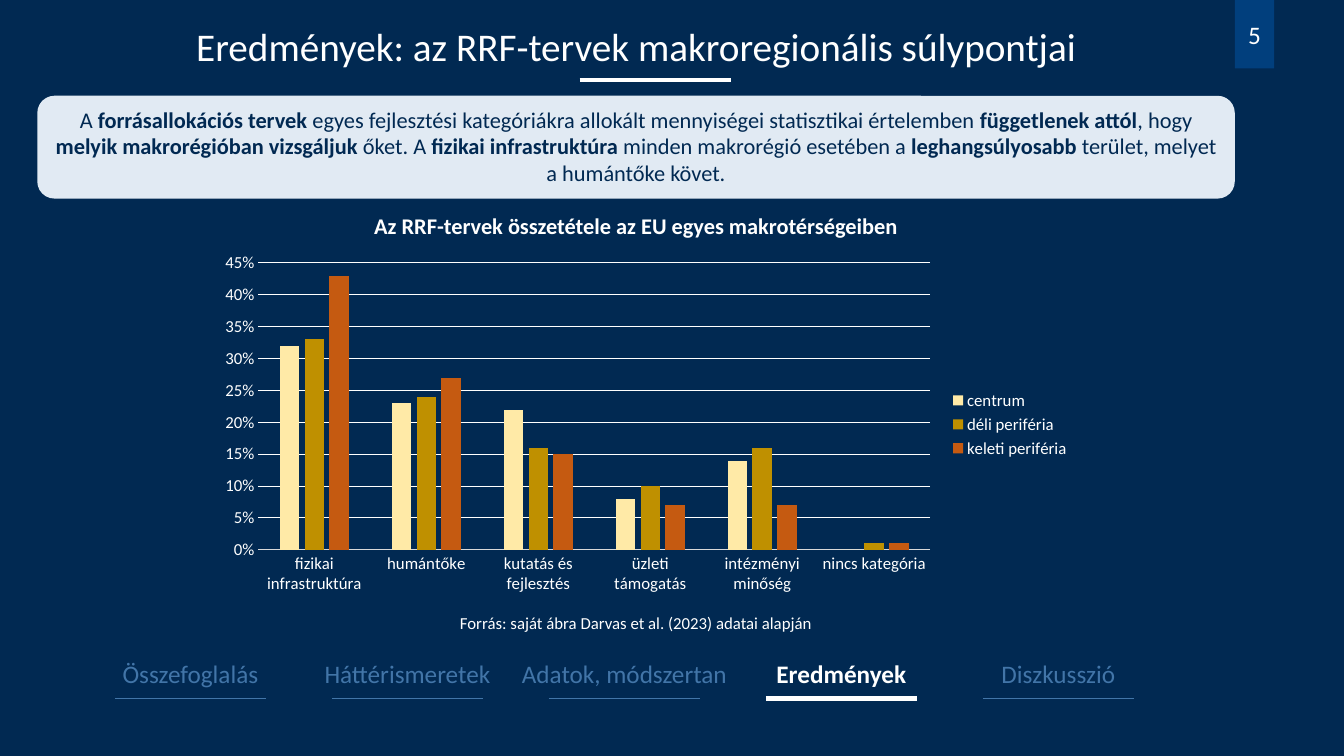
from dataclasses import dataclass

import lxml.etree
import pptx
import pptx.chart.data
import pptx.dml.color
import pptx.enum.chart
import pptx.enum.shapes
import pptx.enum.text
import pptx.oxml
import pptx.oxml.ns
import pptx.util

COLUMNS, ROWS = 160, 90
CELL = pptx.util.Inches(1) / 12


@dataclass(frozen=True)
class Theme:
    font: str = "Calibri"
    background: str = "012952"
    tag: str = "013F7D"
    panel: str = "E1EAF3"
    light: str = "FFFFFF"
    muted: str = "4275A8"
    axis: str = "D9D9D9"
    series: tuple = ("FFEAA7", "BF9000", "C55A11")
    title_size: float = 28
    tab_size: float = 18
    body_size: float = 16
    small_size: float = 12
    thick: float = 3
    thin: float = 0.5
    grid: float = 0.75


@dataclass(frozen=True)
class Box:
    x: float
    y: float
    w: float
    h: float

    def inner(self, x, y, w, h):
        return Box(self.x + x, self.y + y, w, h)

    def emu(self):
        return [round(v * CELL) for v in (self.x, self.y, self.w, self.h)]


THEME = Theme()


def rgb(value):
    return pptx.dml.color.RGBColor.from_string(value)


def style_font(font, size, color, bold=False):
    font.name = THEME.font
    font.size = pptx.util.Pt(size)
    font.color.rgb = rgb(color)
    font.bold = bold


def add_label(slide, box, text, size, color, bold=False, side_inset=1.2):
    label = slide.shapes.add_textbox(*box.emu())
    frame = label.text_frame
    frame.word_wrap = True
    frame.auto_size = pptx.enum.text.MSO_AUTO_SIZE.SHAPE_TO_FIT_TEXT
    frame.margin_left = frame.margin_right = round(side_inset * CELL)
    frame.text = text
    paragraph = frame.paragraphs[0]
    paragraph.alignment = pptx.enum.text.PP_ALIGN.CENTER
    style_font(paragraph.runs[0].font, size, color, bold)


def add_rule(slide, box, color, width):
    x, y, w, _ = box.emu()
    rule = slide.shapes.add_connector(
        pptx.enum.shapes.MSO_CONNECTOR.STRAIGHT, x, y, x + w, y)
    rule.line.color.rgb = rgb(color)
    rule.line.width = pptx.util.Pt(width)
    lxml.etree.SubElement(rule._element.spPr, pptx.oxml.ns.qn("a:effectLst"))


def add_panel(slide, box, preset, fill):
    panel = slide.shapes.add_shape(preset, *box.emu())
    panel.shadow.inherit = False
    panel.fill.solid()
    panel.fill.fore_color.rgb = rgb(fill)
    panel.line.fill.background()
    panel.text_frame.word_wrap = True
    panel.text_frame.paragraphs[0].alignment = pptx.enum.text.PP_ALIGN.CENTER
    return panel


def draw_page_tag(slide, box, number):
    tag = add_panel(slide, box, pptx.enum.shapes.MSO_SHAPE.RECTANGLE, THEME.tag)
    frame = tag.text_frame
    frame.margin_left = frame.margin_right = 0
    frame.vertical_anchor = pptx.enum.text.MSO_ANCHOR.MIDDLE
    paragraph = frame.paragraphs[0]
    paragraph.text = number
    style_font(paragraph.runs[0].font, THEME.tab_size, THEME.light)


def draw_header(slide, box, title):
    add_label(slide, box.inner(0, 2.04, box.w, 6.84), title,
              THEME.title_size, THEME.light)
    add_rule(slide, box.inner(64.56, 9.48, 18, 0), THEME.light, THEME.thick)


def draw_statement(slide, box, phrases):
    statement = add_panel(
        slide, box, pptx.enum.shapes.MSO_SHAPE.ROUNDED_RECTANGLE, THEME.panel)
    statement.text_frame.vertical_anchor = pptx.enum.text.MSO_ANCHOR.TOP
    for index, phrase in enumerate(phrases):
        run = statement.text_frame.paragraphs[0].add_run()
        run.text = phrase
        style_font(run.font, THEME.body_size, THEME.background, index % 2 == 1)


def place_plot(chart, x, y, w, h):
    plot_area = chart._chartSpace.chart.plotArea
    for layout in plot_area.findall(pptx.oxml.ns.qn("c:layout")):
        plot_area.remove(layout)
    settings = (("layoutTarget", "inner"), ("xMode", "edge"), ("yMode", "edge"),
                ("x", x), ("y", y), ("w", w), ("h", h))
    items = "".join(f'<c:{name} val="{value}"/>' for name, value in settings)
    plot_area.insert(0, pptx.oxml.parse_xml(
        f'<c:layout {pptx.oxml.ns.nsdecls("c")}>'
        f'<c:manualLayout>{items}</c:manualLayout></c:layout>'))


def draw_figure(slide, box, title, source, categories, series):
    add_label(slide, box.inner(0, 0, box.w, 4.44), title,
              THEME.body_size, THEME.light, True)
    data = pptx.chart.data.CategoryChartData(number_format="0%")
    data.categories = categories
    for name, values in series.items():
        data.add_series(name, values)
    chart = slide.shapes.add_chart(
        pptx.enum.chart.XL_CHART_TYPE.COLUMN_CLUSTERED,
        *box.inner(18.96, 4.44, 105.24, 42.72).emu(), data).chart
    style_font(chart.font, THEME.small_size, THEME.light)
    chart.has_title = False
    chart.has_legend = True
    chart.legend.position = pptx.enum.chart.XL_LEGEND_POSITION.RIGHT
    chart.legend.include_in_layout = False
    style_font(chart.legend.font, THEME.small_size, THEME.light)
    for axis in (chart.category_axis, chart.value_axis):
        axis.major_tick_mark = pptx.enum.chart.XL_TICK_MARK.NONE
        axis.minor_tick_mark = pptx.enum.chart.XL_TICK_MARK.NONE
        style_font(axis.tick_labels.font, THEME.small_size, THEME.light)
    chart.category_axis.format.line.color.rgb = rgb(THEME.axis)
    chart.category_axis.format.line.width = pptx.util.Pt(THEME.grid)
    shares = chart.value_axis
    shares.minimum_scale, shares.maximum_scale, shares.major_unit = 0, 0.45, 0.05
    shares.tick_labels.number_format = "0%"
    shares.tick_labels.number_format_is_linked = False
    shares.format.line.fill.background()
    shares.major_gridlines.format.line.color.rgb = rgb(THEME.light)
    shares.major_gridlines.format.line.width = pptx.util.Pt(THEME.grid)
    plot = chart.plots[0]
    plot.gap_width, plot.overlap, plot.vary_by_categories = 219, -27, False
    for region, color in zip(plot.series, THEME.series):
        region.format.fill.solid()
        region.format.fill.fore_color.rgb = rgb(color)
        region.invert_if_negative = False
    place_plot(chart, 0.07, 0.05, 0.76, 0.8)
    add_label(slide, box.inner(0, 47.64, box.w, 3.6), source,
              THEME.small_size, THEME.light)


def draw_navigation(slide, box, tabs, current):
    tab_width, rule_width = 24.72, 18
    pitch = (box.w - tab_width) / (len(tabs) - 1)
    for index, name in enumerate(tabs):
        active = name == current
        color = THEME.light if active else THEME.muted
        tab = box.inner(index * pitch, 0, tab_width, 4.8)
        add_label(slide, tab, name, THEME.tab_size, color, active, 0)
        add_rule(slide, tab.inner((tab_width - rule_width) / 2, box.h, rule_width, 0),
                 color, THEME.thick if active else THEME.thin)


def main():
    deck = pptx.Presentation()
    deck.slide_width = round(COLUMNS * CELL)
    deck.slide_height = round(ROWS * CELL)
    slide = deck.slides.add_slide(deck.slide_layouts[6])
    slide.background.fill.solid()
    slide.background.fill.fore_color.rgb = rgb(THEME.background)
    content = Box(4.44, 0, 142.56, ROWS)
    draw_page_tag(slide, Box(147, 0, 4.68, 8.16), "5")
    draw_header(slide, content.inner(0, 0, content.w, 11.4),
                "Eredmények: az RRF-tervek makroregionális súlypontjai")
    draw_statement(slide, content.inner(0, 11.4, content.w, 12.24), (
        "A ", "forrásallokációs tervek ",
        "egyes fejlesztési kategóriákra allokált mennyiségei statisztikai értelemben ",
        "függetlenek attól", ", hogy ", "melyik makrorégióban vizsgáljuk ",
        "őket. A ", "fizikai infrastruktúra ", "minden makrorégió esetében a ",
        "leghangsúlyosabb", " terület, melyet a humántőke követ."))
    draw_figure(
        slide, content.inner(0, 24.72, content.w, 51.24),
        "Az RRF-tervek összetétele az EU egyes makrotérségeiben",
        "Forrás: saját ábra Darvas et al. (2023) adatai alapján",
        ("fizikai infrastruktúra", "humántőke", "kutatás és fejlesztés",
         "üzleti támogatás", "intézményi minőség", "nincs kategória"),
        {"centrum": (0.32, 0.23, 0.22, 0.08, 0.14, 0),
         "déli periféria": (0.33, 0.24, 0.16, 0.1, 0.16, 0.01),
         "keleti periféria": (0.43, 0.27, 0.15, 0.07, 0.07, 0.01)})
    draw_navigation(slide, Box(10.32, 77.76, 128.04, 5.4), (
        "Összefoglalás", "Háttérismeretek", "Adatok, módszertan",
        "Eredmények", "Diszkusszió"), "Eredmények")
    deck.save("out.pptx")


if __name__ == "__main__":
    main()
